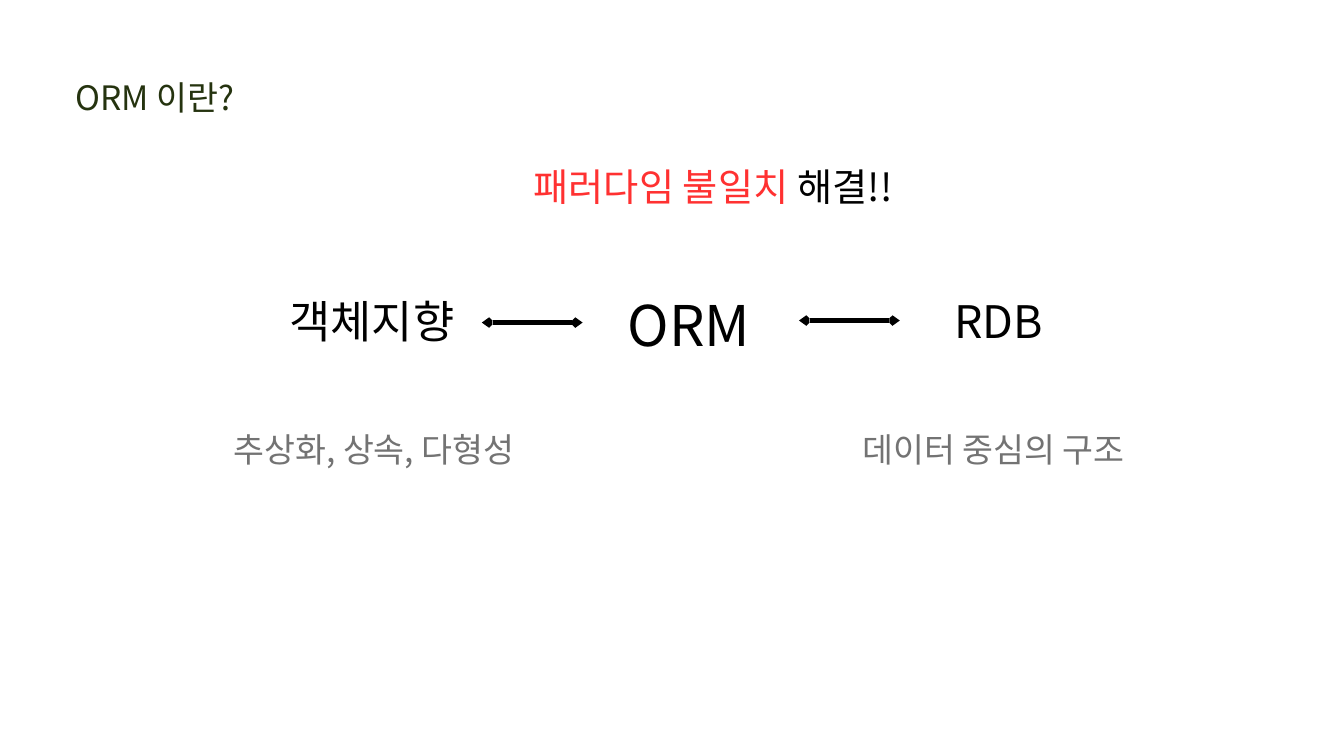
import pptx
import pptx.dml.color
import pptx.enum.shapes
import pptx.enum.text
import pptx.oxml.ns
import pptx.util
from lxml import etree
from pptx.util import Inches

FONT = "Noto Sans CJK KR"
OLIVE, BLACK, GRAY, RED = "25330F", "000000", "737373", "FF3131"
LEFT = pptx.enum.text.PP_ALIGN.LEFT
CENTER = pptx.enum.text.PP_ALIGN.CENTER
qn = pptx.oxml.ns.qn


def rgb(code):
    return pptx.dml.color.RGBColor.from_string(code)


deck = pptx.Presentation()
deck.slide_width = Inches(20)
deck.slide_height = Inches(11.25)
slide = deck.slides.add_slide(deck.slide_layouts[6])

# left, top, width, height, size, alignment, runs
labels = [
    (1.12, 1.05, 11.76, 0.7, 36, LEFT, [("ORM 이란?", OLIVE)]),
    (4.07, 4.24, 2.93, 0.87, 48, CENTER, [("객체지향", BLACK)]),
    (12.41, 6.28, 4.75, 0.65, 36, CENTER, [("데이터 중심의 구조", GRAY)]),
    (3.05, 6.28, 5.03, 0.65, 36, CENTER, [("추상화, 상속, 다형성", GRAY)]),
    (13.8, 4.24, 2.13, 0.87, 48, CENTER, [("RDB", BLACK)]),
    (7.42, 2.32, 6.38, 0.74, 41, CENTER, [("패러다임 불일치 ", RED), ("해결!!", BLACK)]),
    (9.13, 4.16, 2.24, 1.16, 60, CENTER, [("ORM", BLACK)]),
]
for left, top, width, height, size, alignment, runs in labels:
    label = slide.shapes.add_textbox(Inches(left), Inches(top), Inches(width), Inches(height))
    frame = label.text_frame
    frame.word_wrap = True
    frame.auto_size = pptx.enum.text.MSO_AUTO_SIZE.SHAPE_TO_FIT_TEXT
    frame.margin_left = frame.margin_right = frame.margin_top = frame.margin_bottom = 0
    paragraph = frame.paragraphs[0]
    paragraph.alignment = alignment
    paragraph.line_spacing = pptx.util.Pt(size * 1.4)
    for words, color in runs:
        run = paragraph.add_run()
        run.text = words
        run.font.size = pptx.util.Pt(size)
        run.font.color.rgb = rgb(color)
        run.font.name = FONT
        # Hangul takes its font from the East Asian setting
        etree.SubElement(run.font._element, qn("a:ea"), typeface=FONT)

for start, y in [(7.17, 4.8), (11.89, 4.77)]:
    arrow = slide.shapes.add_connector(
        pptx.enum.shapes.MSO_CONNECTOR.STRAIGHT,
        Inches(start), Inches(y), Inches(start + 1.5), Inches(y))
    arrow.line.color.rgb = rgb(BLACK)
    arrow.line.width = pptx.util.Pt(4.5)
    outline = arrow.line._get_or_add_ln()
    for end in ("a:headEnd", "a:tailEnd"):
        etree.SubElement(outline, qn(end), type="arrow", w="sm", len="sm")
    etree.SubElement(arrow._element.spPr, qn("a:effectLst"))

deck.save("out.pptx")
